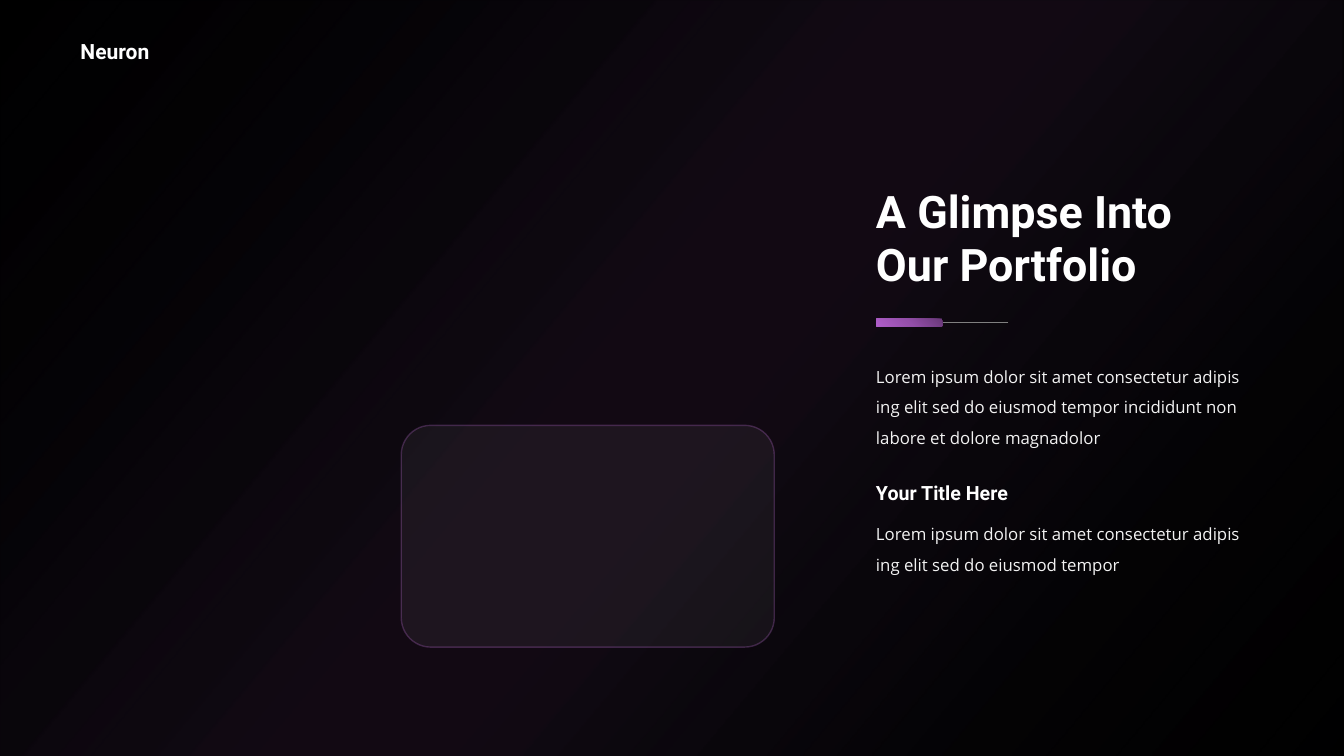
from dataclasses import dataclass

from lxml.etree import SubElement
from pptx import Presentation
from pptx.dml.color import RGBColor
from pptx.enum.shapes import MSO_CONNECTOR, MSO_SHAPE
from pptx.enum.text import MSO_AUTO_SIZE
from pptx.oxml.ns import qn
from pptx.shapes.autoshape import Shape
from pptx.slide import Slide
from pptx.util import Inches, Pt

COLORS = {
    "black": "000000",
    "white": "FFFFFF",
    "body": "F2F2F2",
    "rule": "808080",
    "orchid": "AC65C3",
    "indigo": "381F5F",
    "navy": "1F2232",
    "pill_dark": "683878",
    "pill_middle": "944FAA",
    "pill_light": "B05ECA",
}
TEXT_LEFT = 8.59
TEXT_WIDTH = 3.84
RULE_Y = 3.2


@dataclass(frozen=True)
class Box:
    left: float
    top: float
    width: float
    height: float

    def lengths(self) -> tuple:
        return tuple(Inches(value) for value in (self.left, self.top, self.width, self.height))


@dataclass(frozen=True)
class Stop:
    position: int
    color: str
    opacity: int = 100


def rgb(name: str) -> RGBColor:
    return RGBColor.from_string(COLORS[name])


def set_opacity(fill_parent, percent: int) -> None:
    color = fill_parent.find(qn("a:solidFill")).find(qn("a:srgbClr"))
    SubElement(color, qn("a:alpha"), val=str(percent * 1000))


def add_plain_shape(slide: Slide, kind: MSO_SHAPE, box: Box) -> Shape:
    shape = slide.shapes.add_shape(kind, *box.lengths())
    shape.shadow.inherit = False
    shape.line.fill.background()
    return shape


def fill_gradient(shape: Shape, stops: list[Stop], angle: int) -> None:
    shape.fill.gradient()
    gradient = shape._element.spPr.find(qn("a:gradFill"))
    for child in list(gradient):
        gradient.remove(child)
    stop_list = SubElement(gradient, qn("a:gsLst"))
    for stop in stops:
        item = SubElement(stop_list, qn("a:gs"), pos=str(stop.position * 1000))
        color = SubElement(item, qn("a:srgbClr"), val=COLORS[stop.color])
        if stop.opacity < 100:
            SubElement(color, qn("a:alpha"), val=str(stop.opacity * 1000))
    SubElement(gradient, qn("a:lin"), ang=str(angle * 60000), scaled="0")


def add_text(slide: Slide, text: str, box: Box, *, size: int = 12, font: str = "Roboto",
             color: str = "white", bold: bool = True, spacing: float = 1.0) -> None:
    frame = slide.shapes.add_textbox(*box.lengths()).text_frame
    frame.word_wrap = True
    frame.auto_size = MSO_AUTO_SIZE.SHAPE_TO_FIT_TEXT
    paragraph = frame.paragraphs[0]
    paragraph.line_spacing = spacing
    run = paragraph.add_run()
    run.text = text
    run.font.size = Pt(size)
    run.font.name = font
    run.font.bold = bold
    run.font.color.rgb = rgb(color)


def add_glow(slide: Slide) -> None:
    glow = add_plain_shape(slide, MSO_SHAPE.RECTANGLE, Box(0, 0, 13.33, 7.5))
    fill_gradient(glow, [Stop(2, "indigo", 0), Stop(45, "orchid", 10),
                         Stop(55, "orchid", 10), Stop(100, "navy", 0)], 40)


def add_glass_card(slide: Slide) -> None:
    card = add_plain_shape(slide, MSO_SHAPE.ROUNDED_RECTANGLE, Box(3.98, 4.22, 3.7, 2.2))
    card.adjustments[0] = 0.133
    card.fill.solid()
    card.fill.fore_color.rgb = rgb("white")
    set_opacity(card._element.spPr, 5)
    card.line.color.rgb = rgb("orchid")
    card.line.width = Pt(1)
    set_opacity(card._element.spPr.find(qn("a:ln")), 30)


def add_divider(slide: Slide) -> None:
    pill = add_plain_shape(slide, MSO_SHAPE.ROUNDED_RECTANGLE,
                           Box(8.69, RULE_Y - 0.04, 0.66, 0.08))
    fill_gradient(pill, [Stop(0, "pill_dark"), Stop(50, "pill_middle"),
                         Stop(100, "pill_light")], 135)
    rule = slide.shapes.add_connector(MSO_CONNECTOR.STRAIGHT, Inches(10), Inches(RULE_Y),
                                      Inches(9.35), Inches(RULE_Y))
    rule.end_connect(pill, 3)
    rule.line.color.rgb = rgb("rule")
    rule.line.width = Pt(0.5)
    SubElement(rule._element.spPr, qn("a:effectLst"))


def main() -> None:
    presentation = Presentation()
    presentation.slide_width = Inches(13.33)
    presentation.slide_height = Inches(7.5)
    slide = presentation.slides.add_slide(presentation.slide_layouts[6])
    slide.background.fill.solid()
    slide.background.fill.fore_color.rgb = rgb("black")

    add_glow(slide)
    add_text(slide, "Neuron", Box(0.7, 0.33, 0.97, 0.35), size=15)
    add_glass_card(slide)
    add_text(slide, "A Glimpse Into Our Portfolio",
             Box(TEXT_LEFT, 1.77, TEXT_WIDTH, 1.18), size=32)
    add_divider(slide)

    body = {"font": "Open Sans", "color": "body", "bold": False, "spacing": 1.5}
    add_text(slide, "Lorem ipsum dolor sit amet consectetur adipis ing elit sed do eiusmod "
             "tempor incididunt non labore et dolore magnadolor",
             Box(TEXT_LEFT, 3.49, TEXT_WIDTH, 0.98), **body)
    add_text(slide, "Your Title Here", Box(TEXT_LEFT, 4.72, 1.93, 0.34), size=14)
    add_text(slide, "Lorem ipsum dolor sit amet consectetur adipis ing elit sed do eiusmod tempor",
             Box(TEXT_LEFT, 5.05, TEXT_WIDTH, 0.67), **body)

    presentation.save("out.pptx")


if __name__ == "__main__":
    main()
